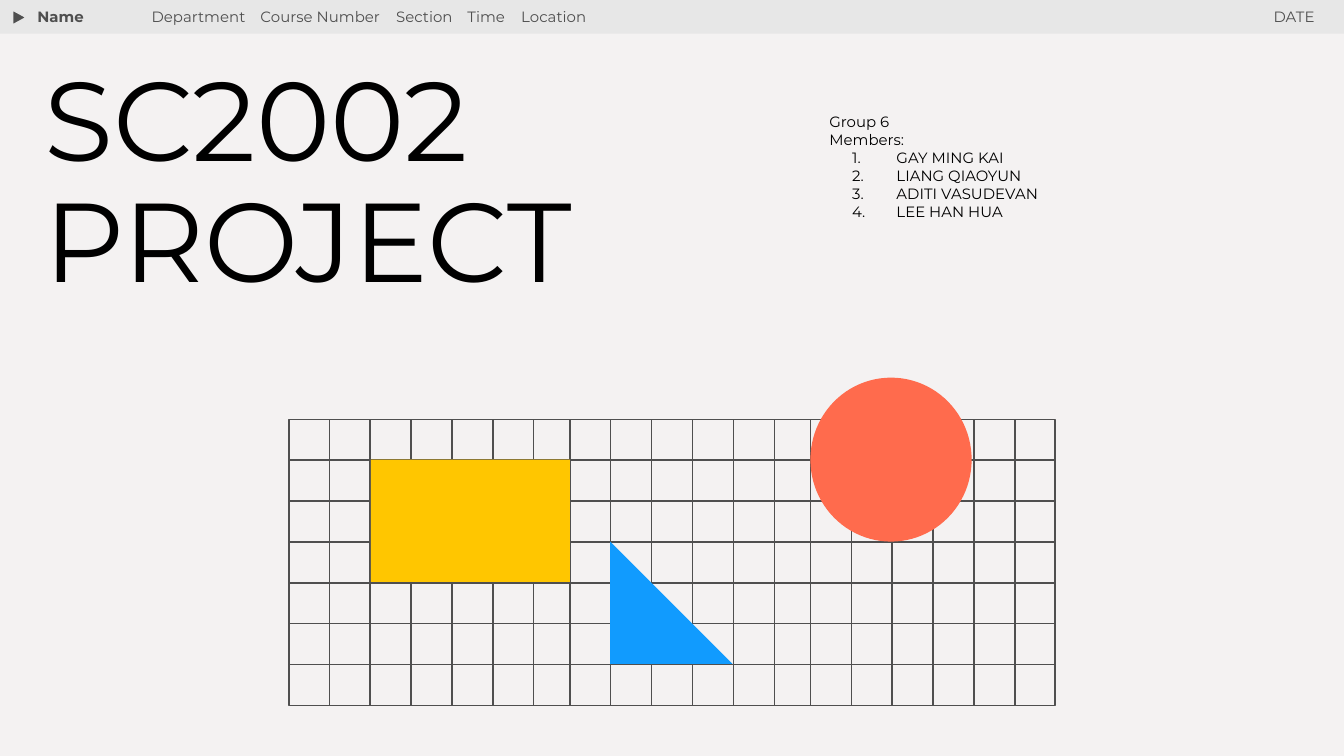
import pptx
import pptx.dml.color
import pptx.enum.shapes
import pptx.enum.text
import pptx.oxml.ns
import pptx.util
from lxml import etree

Inches = pptx.util.Inches
ALIGN = pptx.enum.text.PP_ALIGN
SHAPE = pptx.enum.shapes.MSO_SHAPE
COLORS = {
    "background": "F4F2F2",
    "bar": "E7E7E7",
    "gray": "4F4F4F",
    "black": "000000",
    "yellow": "FFC600",
    "coral": "FF6B4D",
    "blue": "119BFE",
}


def color(name):
    return pptx.dml.color.RGBColor.from_string(COLORS[name])


def add_element(parent, tag, **attributes):
    return etree.SubElement(parent, pptx.oxml.ns.qn(tag), attributes)


def write(paragraph, text, size=8, ink="black", bold=False, align=ALIGN.LEFT,
          line_spacing=1.0, numbered=False, tabs=()):
    paragraph.alignment = align
    paragraph.line_spacing = line_spacing
    paragraph.space_before = pptx.util.Pt(0)
    properties = paragraph._p.get_or_add_pPr()
    if numbered:
        properties.set("marL", str(Inches(0.5)))
        properties.set("indent", str(Inches(-0.33)))
        bullet_color = add_element(properties, "a:buClr")
        add_element(bullet_color, "a:srgbClr", val=COLORS["black"])
        add_element(properties, "a:buAutoNum", type="arabicPeriod")
    if tabs:
        tab_list = add_element(properties, "a:tabLst")
        for position in tabs:
            add_element(tab_list, "a:tab", pos=str(Inches(position)), algn="l")
    run = paragraph.add_run()
    run.text = text
    run.font.name = "Montserrat"
    run.font.size = pptx.util.Pt(size)
    run.font.bold = bold
    run.font.color.rgb = color(ink)


class SlideBuilder:
    line_width = pptx.util.Pt(0.75)

    def __init__(self, slide):
        self.slide = slide
        slide.background.fill.solid()
        slide.background.fill.fore_color.rgb = color("background")

    def frame(self, shape):
        frame = shape.text_frame
        frame.word_wrap = True
        frame.auto_size = pptx.enum.text.MSO_AUTO_SIZE.NONE
        frame.vertical_anchor = pptx.enum.text.MSO_ANCHOR.TOP
        frame.margin_left = frame.margin_right = Inches(0.1)
        frame.margin_top = frame.margin_bottom = Inches(0.1)
        return frame

    def placeholder(self, index, left, top, width, height):
        shape = self.slide.placeholders[index]
        shape.left, shape.top = Inches(left), Inches(top)
        shape.width, shape.height = Inches(width), Inches(height)
        return self.frame(shape)

    def label(self, text, left, top, width, height, **text_format):
        box = self.slide.shapes.add_textbox(
            Inches(left), Inches(top), Inches(width), Inches(height))
        write(self.frame(box).paragraphs[0], text, ink="gray", **text_format)

    def shape(self, kind, left, top, width, height, fill=None, line=None):
        shape = self.slide.shapes.add_shape(
            kind, Inches(left), Inches(top), Inches(width), Inches(height))
        shape.shadow.inherit = False
        if fill:
            shape.fill.solid()
            shape.fill.fore_color.rgb = color(fill)
        else:
            shape.fill.background()
        if line:
            shape.line.color.rgb = color(line)
            shape.line.width = self.line_width
        else:
            shape.line.fill.background()
        return shape

    def line(self, start_x, start_y, end_x, end_y):
        connector = self.slide.shapes.add_connector(
            pptx.enum.shapes.MSO_CONNECTOR.STRAIGHT,
            Inches(start_x), Inches(start_y), Inches(end_x), Inches(end_y))
        connector.line.color.rgb = color("gray")
        connector.line.width = self.line_width
        add_element(connector._element.spPr, "a:effectLst")

    def grid(self, left, top, width, height, rows, column_groups):
        cell = height / rows
        self.shape(SHAPE.RECTANGLE, left, top, width, height, line="gray")
        for start in column_groups:
            for column in range(6):
                x = start + column * cell
                self.line(x, top, x, top + height)
        for row in range(1, rows + 1):
            y = top + row * cell
            self.line(left, y, left + width, y)


def main():
    presentation = pptx.Presentation()
    presentation.slide_width = Inches(10)
    presentation.slide_height = Inches(10 * 9 / 16)
    builder = SlideBuilder(
        presentation.slides.add_slide(presentation.slide_layouts[0]))

    builder.shape(SHAPE.RECTANGLE, -0.01, 0, 10.01, 0.25, fill="bar")
    marker = builder.shape(SHAPE.ISOSCELES_TRIANGLE, 0.09, 0.08, 0.11, 0.1,
                           fill="gray", line="bar")
    marker.rotation = 90
    builder.label("Name", 0.18, -0.04, 1.28, 0.37, bold=True)
    course_details = ["Department", "Course Number", "Section", "Time", "Location"]
    builder.label("\t".join(course_details), 1.03, -0.04, 4.17, 0.34,
                  tabs=(0.81, 1.82, 2.35, 2.75))
    builder.label("DATE", 8.63, -0.04, 1.25, 0.34, align=ALIGN.RIGHT)

    title = builder.placeholder(0, 0.23, 0.38, 5.84, 2.19)
    write(title.paragraphs[0], "SC2002 PROJECT", size=60, line_spacing=0.9)

    group = builder.placeholder(1, 6.07, 0.74, 3.54, 1.21)
    write(group.paragraphs[0], "Group 6")
    write(group.add_paragraph(), "Members:")
    for member in ["GAY MING KAI", "LIANG QIAOYUN", "ADITI VASUDEVAN", "LEE HAN HUA"]:
        write(group.add_paragraph(), member, numbered=True)

    builder.grid(2.15, 3.12, 5.7, 2.13, rows=7, column_groups=(2.45, 4.24, 6.03))
    builder.shape(SHAPE.RECTANGLE, 2.76, 3.42, 1.48, 0.91, fill="yellow")
    builder.shape(SHAPE.OVAL, 6.03, 2.81, 1.2, 1.22, fill="coral")
    builder.shape(SHAPE.RIGHT_TRIANGLE, 4.54, 4.03, 0.91, 0.91, fill="blue")

    presentation.save("out.pptx")


if __name__ == "__main__":
    main()
